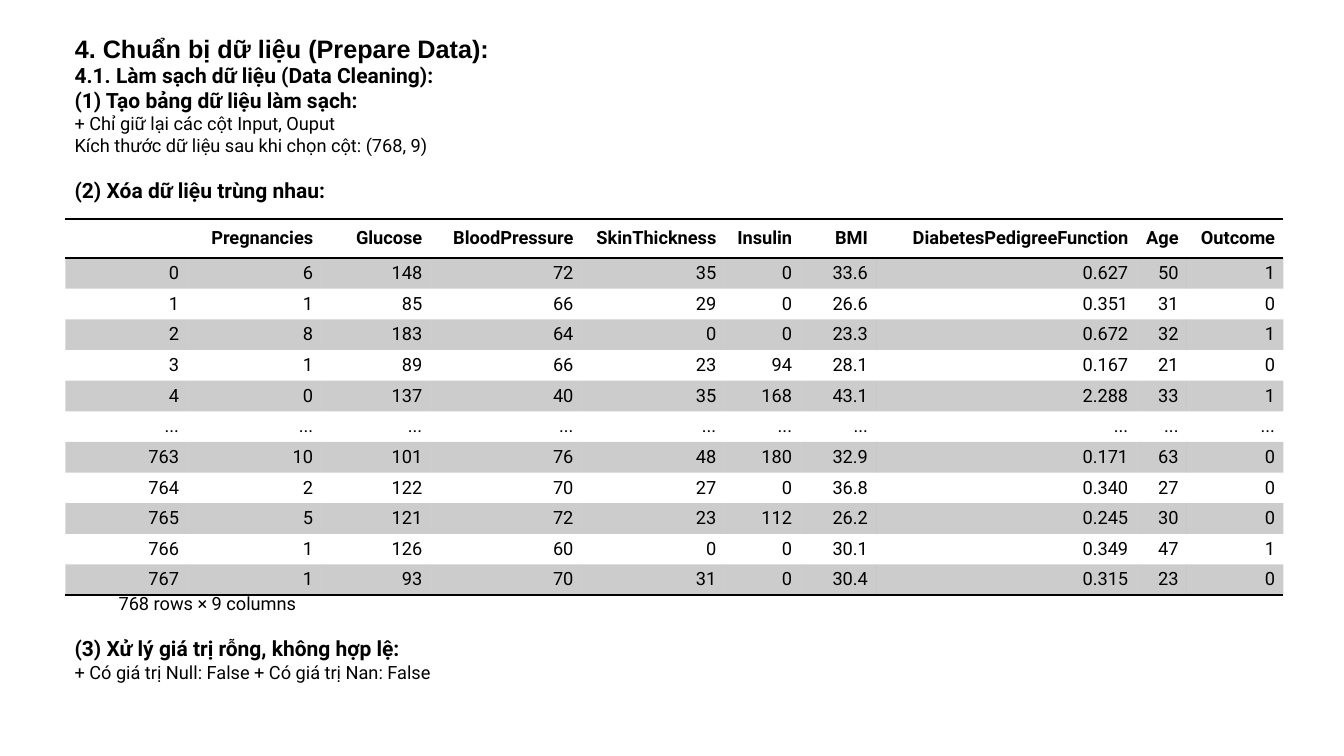
from lxml import etree
from pptx import Presentation
from pptx import util as u
from pptx.dml.color import RGBColor
from pptx.enum import text
from pptx.oxml import ns

COLORS = {"ink": "000000"}
INK = RGBColor.from_string(COLORS["ink"])
NO_STYLE = "{2D5ABB26-0587-4C30-8999-92F81FD0307C}"
HEADING, BODY = 15, 13


def add_run(para, words, size, bold=False, font="Roboto"):
    span = para.add_run()
    span.text = words
    span.font.name = font
    span.font.size = u.Pt(size)
    span.font.bold = bold
    span.font.color.rgb = INK


def add_lines(left, top, width, height, lines):
    """Add a text box; each line is (words, size, bold, points of space before)."""
    box = page.shapes.add_textbox(u.Cm(left), u.Cm(top), u.Cm(width), u.Cm(height))
    frame = box.text_frame
    frame.word_wrap = True
    for i, (words, size, bold, gap) in enumerate(lines):
        para = frame.add_paragraph() if i else frame.paragraphs[0]
        para.space_before = u.Pt(gap)
        add_run(para, words, size, bold)


deck = Presentation()
deck.slide_width, deck.slide_height = u.Cm(33.87), u.Cm(19.05)
page = deck.slides.add_slide(deck.slide_layouts[5])

# Title and introduction
title = page.shapes.title
title.left, title.top, title.width, title.height = u.Cm(1.63), u.Cm(0.71), u.Cm(27.5), u.Cm(1)
title.text_frame.vertical_anchor = text.MSO_ANCHOR.TOP
title.text_frame.auto_size = text.MSO_AUTO_SIZE.NONE
title_para = title.text_frame.paragraphs[0]
title_para.alignment = text.PP_ALIGN.LEFT
add_run(title_para, "4. Chuẩn bị dữ liệu (Prepare Data):", 18, True, "Arial")

add_lines(1.63, 1.44, 27.5, 4.58, [
    ("4.1. Làm sạch dữ liệu (Data Cleaning):", HEADING, True, 0),
    ("(1) Tạo bảng dữ liệu làm sạch:", HEADING, True, 0),
    ("+ Chỉ giữ lại các cột Input, Ouput", BODY, False, 0),
    ("Kích thước dữ liệu sau khi chọn cột: (768, 9)", BODY, False, 0),
    ("(2) Xóa dữ liệu trùng nhau:", HEADING, True, 15.2),
])

# Data table
rows = [
    ["", "Pregnancies", "Glucose", "BloodPressure", "SkinThickness", "Insulin", "BMI",
     "DiabetesPedigreeFunction", "Age", "Outcome"],
    ["0", "6", "148", "72", "35", "0", "33.6", "0.627", "50", "1"],
    ["1", "1", "85", "66", "29", "0", "26.6", "0.351", "31", "0"],
    ["2", "8", "183", "64", "0", "0", "23.3", "0.672", "32", "1"],
    ["3", "1", "89", "66", "23", "94", "28.1", "0.167", "21", "0"],
    ["4", "0", "137", "40", "35", "168", "43.1", "2.288", "33", "1"],
    ["..."] * 10,
    ["763", "10", "101", "76", "48", "180", "32.9", "0.171", "63", "0"],
    ["764", "2", "122", "70", "27", "0", "36.8", "0.340", "27", "0"],
    ["765", "5", "121", "72", "23", "112", "26.2", "0.245", "30", "0"],
    ["766", "1", "126", "60", "0", "0", "30.1", "0.349", "47", "1"],
    ["767", "1", "93", "70", "31", "0", "30.4", "0.315", "23", "0"],
]
column_widths = [3.07, 3.38, 2.75, 3.81, 3.6, 1.91, 1.91, 6.56, 1.27, 2.43]
header_height, row_height = 0.94, 0.76
last = len(rows) - 1
table = page.shapes.add_table(
    len(rows), len(column_widths), u.Cm(1.65), u.Cm(5.52),
    u.Cm(sum(column_widths)), u.Cm(header_height + last * row_height)).table
table.first_row = table.horz_banding = False
table._tbl.tblPr.find(ns.qn("a:tableStyleId")).text = NO_STYLE
for column, width in zip(table.columns, column_widths):
    column.width = u.Cm(width)

for r, values in enumerate(rows):
    table.rows[r].height = u.Cm(row_height if r else header_height)
    borders = {0: ["a:lnT", "a:lnB"], last: ["a:lnB"]}.get(r, [])
    for c, value in enumerate(values):
        cell = table.cell(r, c)
        cell.margin_left = cell.margin_right = u.Cm(0.21)
        cell.margin_top = cell.margin_bottom = u.Cm(0.11)
        cell.vertical_anchor = text.MSO_ANCHOR.MIDDLE
        para = cell.text_frame.paragraphs[0]
        para.alignment = text.PP_ALIGN.RIGHT
        add_run(para, value, BODY, r == 0)

        cell_format = cell._tc.get_or_add_tcPr()
        for tag in borders:
            line = etree.SubElement(cell_format, ns.qn(tag), w=str(u.Pt(1)))
            fill = etree.SubElement(line, ns.qn("a:solidFill"))
            etree.SubElement(fill, ns.qn("a:srgbClr"), val=COLORS["ink"])
        if r % 2:
            cell.fill.solid()
            cell.fill.fore_color.rgb = INK
            shade = cell_format.find(ns.qn("a:solidFill"))[0]
            etree.SubElement(shade, ns.qn("a:alpha"), val="20000")
        else:
            cell.fill.background()

# Table size and the next step
add_lines(2.74, 14.81, 16.94, 0.81, [("768 rows × 9 columns", BODY, False, 0)])
add_lines(1.63, 15.9, 16.94, 1.45, [
    ("(3) Xử lý giá trị rỗng, không hợp lệ:", HEADING, True, 0),
    ("+ Có giá trị Null: False + Có giá trị Nan: False", BODY, False, 0),
])

deck.save("out.pptx")
